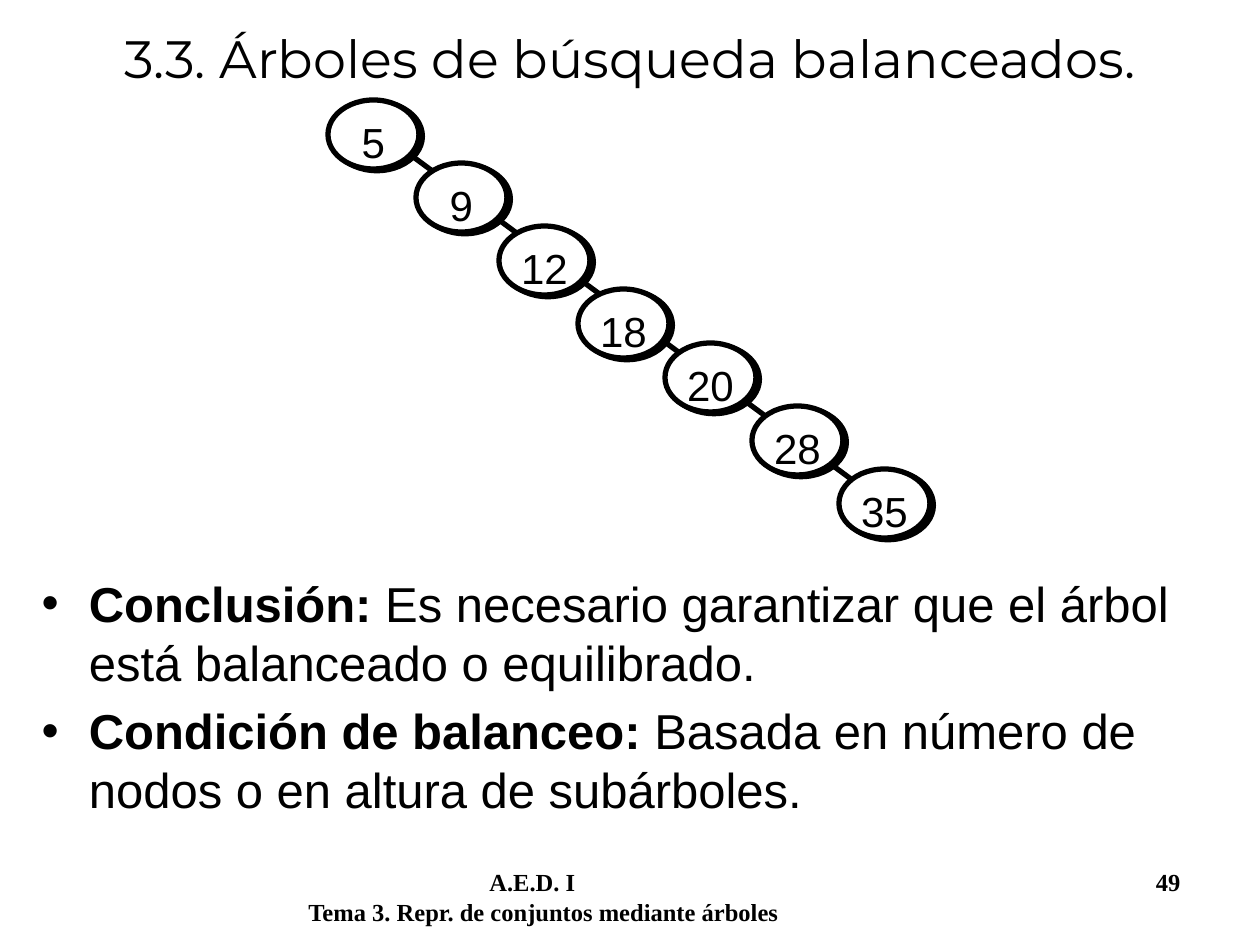
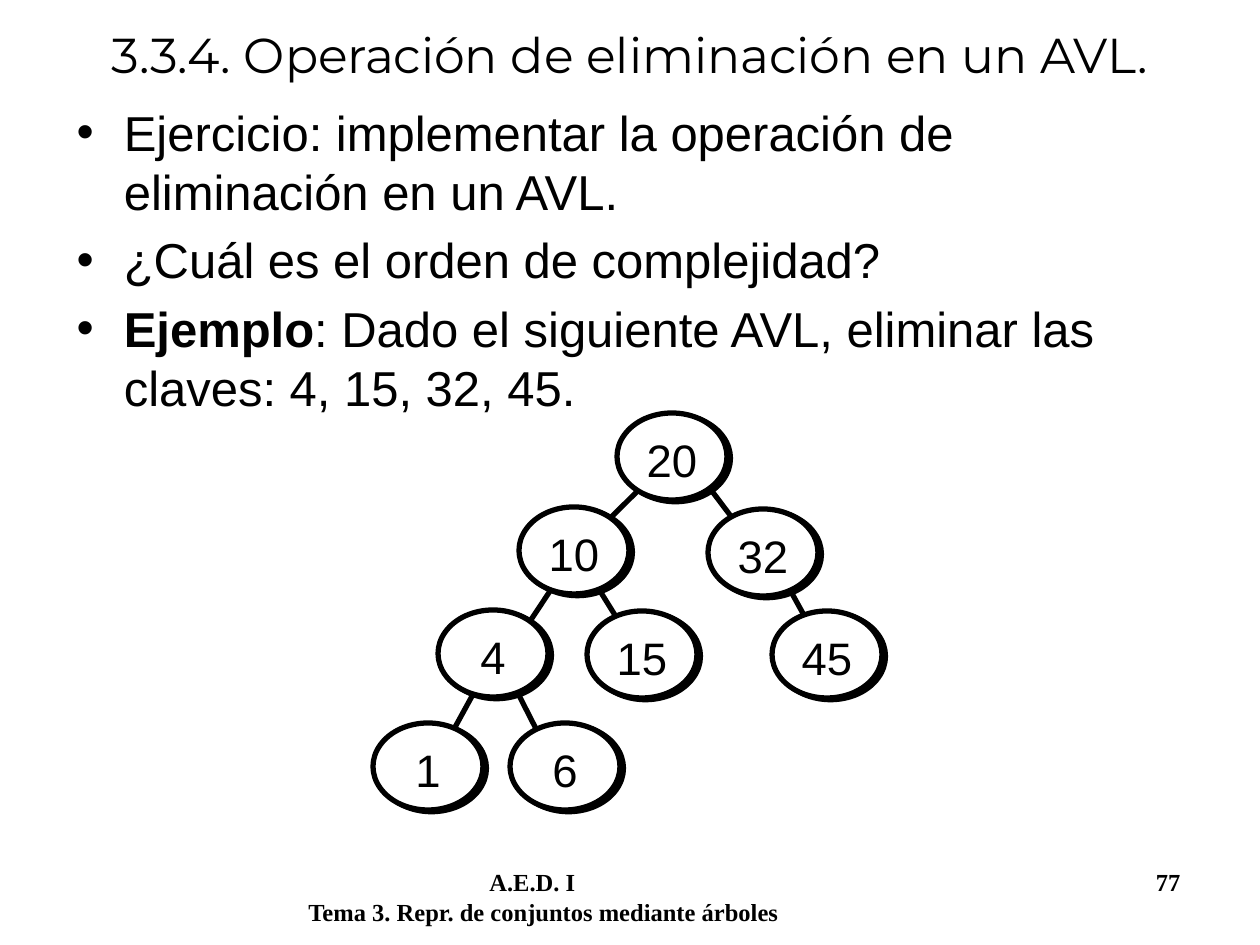
from lxml import etree
from pptx import Presentation
from pptx.dml.color import RGBColor
from pptx.enum.shapes import MSO_CONNECTOR, MSO_SHAPE
from pptx.enum.text import MSO_ANCHOR, MSO_AUTO_SIZE, PP_ALIGN
from pptx.oxml import parse_xml
from pptx.oxml.ns import qn
from pptx.util import Emu, Pt

THEME = {
    "ink": RGBColor(0, 0, 0),
    "paper": RGBColor(255, 255, 255),
    "title_font": "Montserrat",
    "text_font": "Arial",
    "footer_font": "Times New Roman",
    "body_size": 28,
    "footer_size": 14,
    "line_width": 3,
}
SHADOW_XML = (
    '<a:outerShdw xmlns:a="http://schemas.openxmlformats.org/drawingml/2006/main" '
    'blurRad="0" dist="28400" dir="1620000" algn="ctr" rotWithShape="0">'
    '<a:srgbClr val="000000"/></a:outerShdw>'
)
FOOTER_TABS = ((181, "l"), (872, "r"))
FOOTER_TOPIC = "Tema 3. Repr. de conjuntos mediante árboles"


def px(*lengths):
    """Turn lengths at 126 px to the inch into EMU."""
    return [Emu(round(length * 914400 / 126)) for length in lengths]


def add_span(para, text, font, size, bold=False):
    span = para.add_run()
    span.text = text
    span.font.color.rgb = THEME["ink"]
    for name, value in {"name": font, "size": Pt(size), "bold": bold}.items():
        setattr(span.font, name, value)


# Content: list items are (bold lead, rest); nodes are (key, left, top)
PAGES = [
    {
        "number": "49",
        "title": "3.3. Árboles de búsqueda balanceados.",
        "title_size": 30,
        "title_height": 115,
        "list_at": (29, 567, 1197, 284),
        "list": [
            ("Conclusión:", " Es necesario garantizar que el árbol está balanceado o equilibrado."),
            ("Condición de balanceo:", " Basada en número de nodos o en altura de subárboles."),
        ],
        "node_size": (91, 69),
        "key_size": 24,
        "edges": [(378, 131, 885, 504)],
        "nodes": [
            ("5", 328, 100), ("9", 416, 163), ("12", 499, 226), ("18", 578, 289),
            ("20", 665, 343), ("28", 752, 406), ("35", 839, 469),
        ],
    },
    {
        "number": "77",
        "title": "3.3.4. Operación de eliminación en un AVL.",
        "title_size": 28,
        "title_height": 108,
        "list_at": (64, 96, 1077, 362),
        "list": [
            ("", "Ejercicio: implementar la operación de eliminación en un AVL."),
            ("", "¿Cuál es el orden de complejidad?"),
            ("Ejemplo", ": Dado el siguiente AVL, eliminar las claves: 4, 15, 32, 45."),
        ],
        "node_size": (110, 87),
        "key_size": 26,
        "edges": [
            (670, 459, 575, 553), (690, 462, 767, 564), (499, 668, 566, 567),
            (646, 665, 577, 554), (772, 557, 828, 659), (436, 762, 494, 656),
            (501, 660, 557, 770),
        ],
        "nodes": [
            ("20", 617, 413), ("10", 519, 507), ("32", 708, 509), ("4", 438, 610),
            ("15", 587, 611), ("45", 772, 611), ("1", 373, 723), ("6", 510, 723),
        ],
    },
]

deck = Presentation()
deck.slide_width, deck.slide_height = px(1260, 945)

for content in PAGES:
    page = deck.slides.add_slide(deck.slide_layouts[1])
    title, body = page.placeholders

    # Title and list placeholders
    places = ((title, (0, 0, 1260, content["title_height"])), (body, content["list_at"]))
    for box, place in places:
        box.left, box.top, box.width, box.height = px(*place)
        box.text_frame.auto_size = MSO_AUTO_SIZE.NONE
    add_span(title.text_frame.paragraphs[0], content["title"],
             THEME["title_font"], content["title_size"])
    for index, (lead, rest) in enumerate(content["list"]):
        para = body.text_frame.add_paragraph() if index else body.text_frame.paragraphs[0]
        if lead:
            add_span(para, lead, THEME["text_font"], THEME["body_size"], True)
        add_span(para, rest, THEME["text_font"], THEME["body_size"])

    # Footer: course and page number on tab stops, topic below
    footer = page.shapes.add_textbox(*px(296, 861, 932, 63)).text_frame
    footer.word_wrap = True
    course, topic = footer.paragraphs[0], footer.add_paragraph()
    tab_list = etree.SubElement(course._p.get_or_add_pPr(), qn("a:tabLst"))
    for position, align in FOOTER_TABS:
        etree.SubElement(tab_list, qn("a:tab"), pos=str(px(position)[0]), algn=align)
    for para, text in ((course, f"\tA.E.D. I\t{content['number']}"), (topic, FOOTER_TOPIC)):
        add_span(para, text, THEME["footer_font"], THEME["footer_size"], True)

    # Tree edges, behind the nodes
    tree = page.shapes.add_group_shape()
    for edge in content["edges"]:
        branch = tree.shapes.add_connector(MSO_CONNECTOR.STRAIGHT, *px(*edge))
        branch.line.color.rgb = THEME["ink"]
        branch.line.width = Pt(THEME["line_width"])
        etree.SubElement(branch._element.spPr, qn("a:effectLst"))

    # Tree nodes with a hard shadow
    for key, left, top in content["nodes"]:
        node = tree.shapes.add_shape(MSO_SHAPE.OVAL, *px(left, top, *content["node_size"]))
        node.fill.solid()
        node.fill.fore_color.rgb = THEME["paper"]
        node.line.color.rgb = THEME["ink"]
        node.line.width = Pt(THEME["line_width"])
        node.shadow.inherit = False
        node._element.spPr.find(qn("a:effectLst")).append(parse_xml(SHADOW_XML))
        side, above, below = px(3, 6, 1)
        frame_format = {
            "margin_left": side, "margin_right": side,
            "margin_top": above, "margin_bottom": below,
            "vertical_anchor": MSO_ANCHOR.TOP, "word_wrap": True,
        }
        for name, value in frame_format.items():
            setattr(node.text_frame, name, value)
        para = node.text_frame.paragraphs[0]
        para.alignment = PP_ALIGN.CENTER
        add_span(para, key, THEME["text_font"], content["key_size"])

deck.save("out.pptx")
